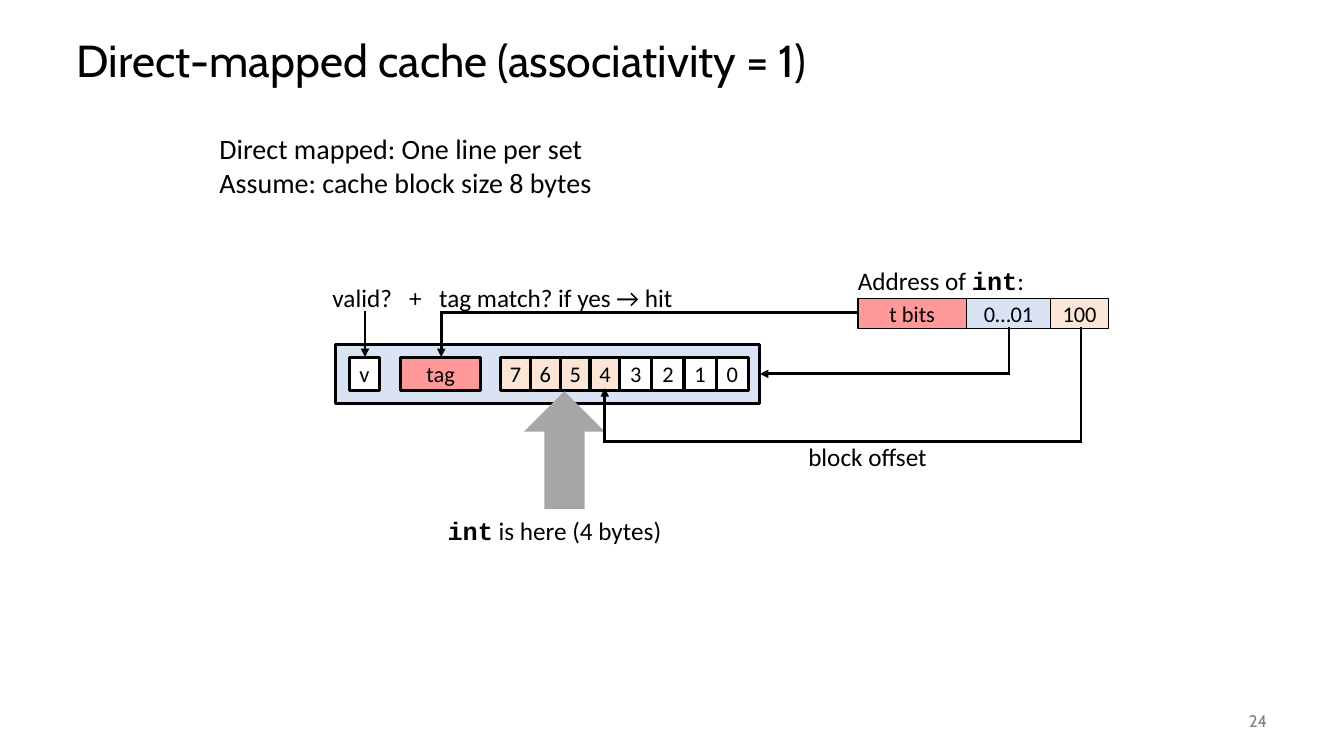
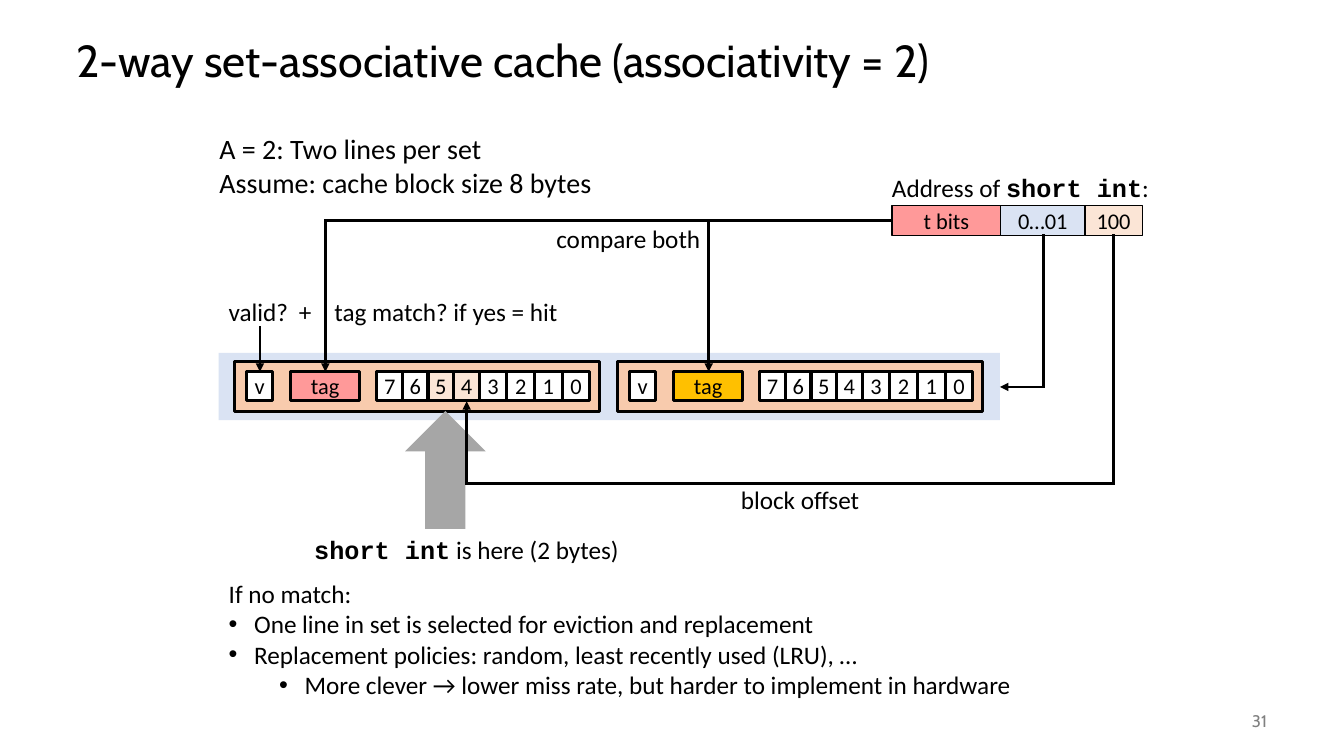
from itertools import pairwise

from lxml import etree
from pptx import Presentation
from pptx.dml.color import RGBColor
from pptx.enum.shapes import MSO_CONNECTOR, MSO_SHAPE
from pptx.enum.text import MSO_ANCHOR, MSO_AUTO_SIZE, PP_ALIGN
from pptx.oxml.ns import qn
from pptx.util import Cm, Pt

RECT, BLOCK_ARROW = MSO_SHAPE.RECTANGLE, MSO_SHAPE.UP_ARROW
STRAIGHT = MSO_CONNECTOR.STRAIGHT
MIDDLE, NO_FIT = MSO_ANCHOR.MIDDLE, MSO_AUTO_SIZE.NONE
LEFT, CENTER, RIGHT = PP_ALIGN.LEFT, PP_ALIGN.CENTER, PP_ALIGN.RIGHT

BLACK = RGBColor(0x00, 0x00, 0x00)
WHITE = RGBColor(0xFF, 0xFF, 0xFF)
GRAY = RGBColor(0x80, 0x80, 0x80)
SILVER = RGBColor(0xA6, 0xA6, 0xA6)
PINK = RGBColor(0xFF, 0x99, 0x99)
BLUE = RGBColor(0xDA, 0xE3, 0xF3)
CREAM = RGBColor(0xFB, 0xE5, 0xD6)
PEACH = RGBColor(0xF8, 0xCB, 0xAD)
GOLD = RGBColor(0xFF, 0xC0, 0x00)

HEAD, BODY, CODE = "Cabin", "Calibri", "Courier New"
TITLE_ONLY, TITLE_BODY = 5, 1
FIELDS = (("t bits", PINK, 2.74), ("0…01", BLUE, 2.12), ("100", CREAM, 1.45))


class Deck:
    def __init__(self):
        self.prs = Presentation()
        self.prs.slide_width = Cm(33.87)
        self.prs.slide_height = Cm(19.05)
        self.slide = None

    def page(self, title, number, layout):
        self.slide = self.prs.slides.add_slide(self.prs.slide_layouts[layout])
        shape = self.slide.shapes.title
        self.place(shape, 1.68, 0.64, 30.48, 1.9)
        frame = shape.text_frame
        frame.text = title
        frame.auto_size = NO_FIT
        frame.vertical_anchor = MIDDLE
        para = frame.paragraphs[0]
        para.alignment = LEFT
        para.line_spacing = 0.9
        self.style(para.font, 32, HEAD)
        frame = self.text(29.64, 17.65, 2.54, 1.02, number)
        frame.vertical_anchor = MIDDLE
        para = frame.paragraphs[0]
        para.alignment = RIGHT
        self.style(para.font, 12, HEAD, GRAY)

    def place(self, shape, x, y, w, h):
        shape.left, shape.top, shape.width, shape.height = map(Cm, (x, y, w, h))

    def style(self, font, size, name=BODY, color=BLACK):
        font.size = Pt(size)
        font.name = name
        font.color.rgb = color

    def text(self, x, y, w, h, words, size=18):
        frame = self.slide.shapes.add_textbox(*map(Cm, (x, y, w, h))).text_frame
        frame.word_wrap = True
        frame.text = words
        for para in frame.paragraphs:
            self.style(para.font, size)
        return frame

    def note(self, x, y, w, words):
        self.text(x, y, w, 1.02, words)

    def mixed(self, x, y, w, before, code, after):
        para = self.text(x, y, w, 1.02, "").paragraphs[0]
        for words in filter(None, (before, code, after)):
            run = para.add_run()
            run.text = words
            self.style(run.font, 18, CODE if words == code else BODY)
            run.font.bold = words == code

    def list(self, x, y, w, h, items):
        shape = self.slide.placeholders[1]
        self.place(shape, x, y, w, h)
        frame = shape.text_frame
        frame.text = "\n".join(words for words, _ in items)
        frame.auto_size = NO_FIT
        for para, (_, indent) in zip(frame.paragraphs, items):
            props = para._p.get_or_add_pPr()
            props.set("marL", str(Cm(indent)))
            props.set("indent", str(-Cm(0.64) if indent else 0))
            if indent:
                etree.SubElement(props, qn("a:buChar")).set("char", "•")
            else:
                etree.SubElement(props, qn("a:buNone"))
            para.level = int(indent > 1)
            para.space_before = Pt(0)
            self.style(para.font, 18)

    def box(self, x, y, w, h, fill, line=0, words="", kind=RECT):
        shape = self.slide.shapes.add_shape(kind, *map(Cm, (x, y, w, h)))
        shape.shadow.inherit = False
        shape.fill.solid()
        shape.fill.fore_color.rgb = fill
        if line:
            shape.line.color.rgb = BLACK
            shape.line.width = Pt(line)
        else:
            shape.line.fill.background()
        if words:
            frame = shape.text_frame
            frame.margin_left = frame.margin_right = 0
            frame.margin_top = frame.margin_bottom = 0
            frame.vertical_anchor = MIDDLE
            frame.text = words
            para = frame.paragraphs[0]
            para.alignment = CENTER
            self.style(para.font, 16)

    def arrow(self, *points):
        for start, end in pairwise(points):
            line = self.slide.shapes.add_connector(STRAIGHT, *map(Cm, start + end))
            line.line.color.rgb = BLACK
            line.line.width = Pt(2)
            props = line._element.spPr
            stroke = props.find(qn("a:ln"))
            stroke.set("cap", "sq")
            if end == points[-1]:
                etree.SubElement(stroke, qn("a:tailEnd")).set("type", "triangle")
            etree.SubElement(props, qn("a:effectLst"))

    def address(self, x, y, code):
        self.mixed(x - 0.25, y - 0.95, 7.6, "Address of ", code, ":")
        for words, fill, w in FIELDS:
            self.box(x, y, w, 0.76, fill, 1, words)
            x += w

    def line(self, x, y, scale, fill, tag, hot=""):
        def cell(left, w, color, words):
            self.box(x + left * scale, y + 0.31 * scale, w * scale, 0.84 * scale,
                     color, 2.25, words)

        self.box(x, y, 10.69 * scale, 1.47 * scale, fill, 2.25)
        cell(0.35, 0.75, WHITE, "v")
        cell(1.64, 2.01, tag, "tag")
        left = 4.16
        for digit in "76543210":
            w = 0.75 if digit > "3" else 0.81
            cell(left, w, CREAM if digit in hot else WHITE, digit)
            left += w

    def pointer(self, x, y, indent, code, rest):
        self.box(x, y, 2.03, 2.97, SILVER, kind=BLOCK_ARROW)
        self.mixed(x - indent, y + 2.99, 8.6, "", code, rest)

    def intro(self, words):
        self.text(5.28, 3.2, 11, 1.96, words, 20)


def direct(deck):
    deck.page("Direct-mapped cache (associativity = 1)", "24", TITLE_ONLY)
    deck.intro("Direct mapped: One line per set\nAssume: cache block size 8 bytes")
    deck.address(21.62, 7.52, "int")
    deck.line(8.46, 8.69, 1, BLUE, PINK, "7654")
    deck.note(8.13, 6.98, 2.2, "valid?")
    deck.note(10.06, 6.98, 1, "+")
    deck.note(10.82, 6.98, 7, "tag match? if yes → hit")
    deck.pointer(13.21, 9.86, 2.18, "int", " is here (4 bytes)")
    deck.note(20.12, 11, 4, "block offset")
    deck.arrow((9.2, 7.88), (9.2, 9))
    deck.arrow((21.62, 7.88), (11.12, 7.88), (11.12, 9))
    deck.arrow((25.43, 8.28), (25.43, 9.42), (19.15, 9.42))
    deck.arrow((27.24, 8.28), (27.24, 11.13), (15.24, 11.13), (15.24, 9.78))


def two_way(deck):
    deck.page("2-way set-associative cache (associativity = 2)", "31", TITLE_BODY)
    deck.intro("A = 2: Two lines per set\nAssume: cache block size 8 bytes")
    deck.address(22.48, 5.18, "short int")
    deck.box(5.51, 8.89, 19.69, 1.7, BLUE)
    deck.line(5.92, 9.1, 0.86, PEACH, PINK, "54")
    deck.line(15.57, 9.1, 0.86, PEACH, GOLD)
    deck.note(13.77, 5.51, 4.3, "compare both")
    deck.note(5.51, 7.34, 2.2, "valid?")
    deck.note(7.28, 7.34, 1, "+")
    deck.note(8.18, 7.34, 7, "tag match? if yes = hit")
    deck.pointer(10.21, 10.36, 2.54, "short int", " is here (2 bytes)")
    deck.note(18.42, 12.09, 4, "block offset")
    deck.arrow((6.55, 8.26), (6.55, 9.37))
    deck.arrow((22.48, 5.56), (8.2, 5.56), (8.2, 9.37))
    deck.arrow((17.86, 5.56), (17.86, 9.37))
    deck.arrow((26.29, 5.94), (26.29, 9.75), (25.2, 9.75))
    deck.arrow((28.07, 5.94), (28.07, 12.19), (11.76, 12.19), (11.76, 10.11))
    deck.list(5.51, 14.45, 20.45, 3.33, (
        ("If no match:", 0),
        ("One line in set is selected for eviction and replacement", 0.64),
        ("Replacement policies: random, least recently used (LRU), …", 0.64),
        ("More clever → lower miss rate, but harder to implement in hardware", 1.91),
    ))


def main():
    deck = Deck()
    direct(deck)
    two_way(deck)
    deck.prs.save("out.pptx")


if __name__ == "__main__":
    main()
